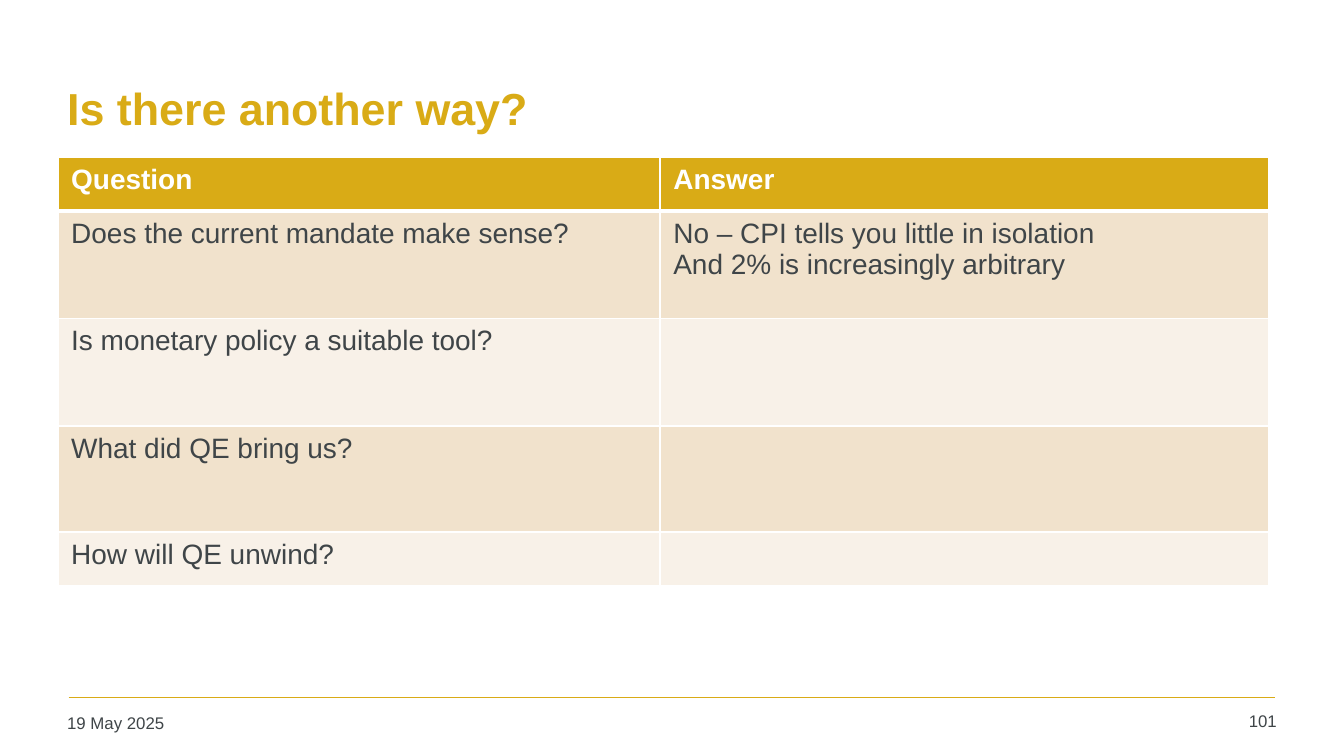
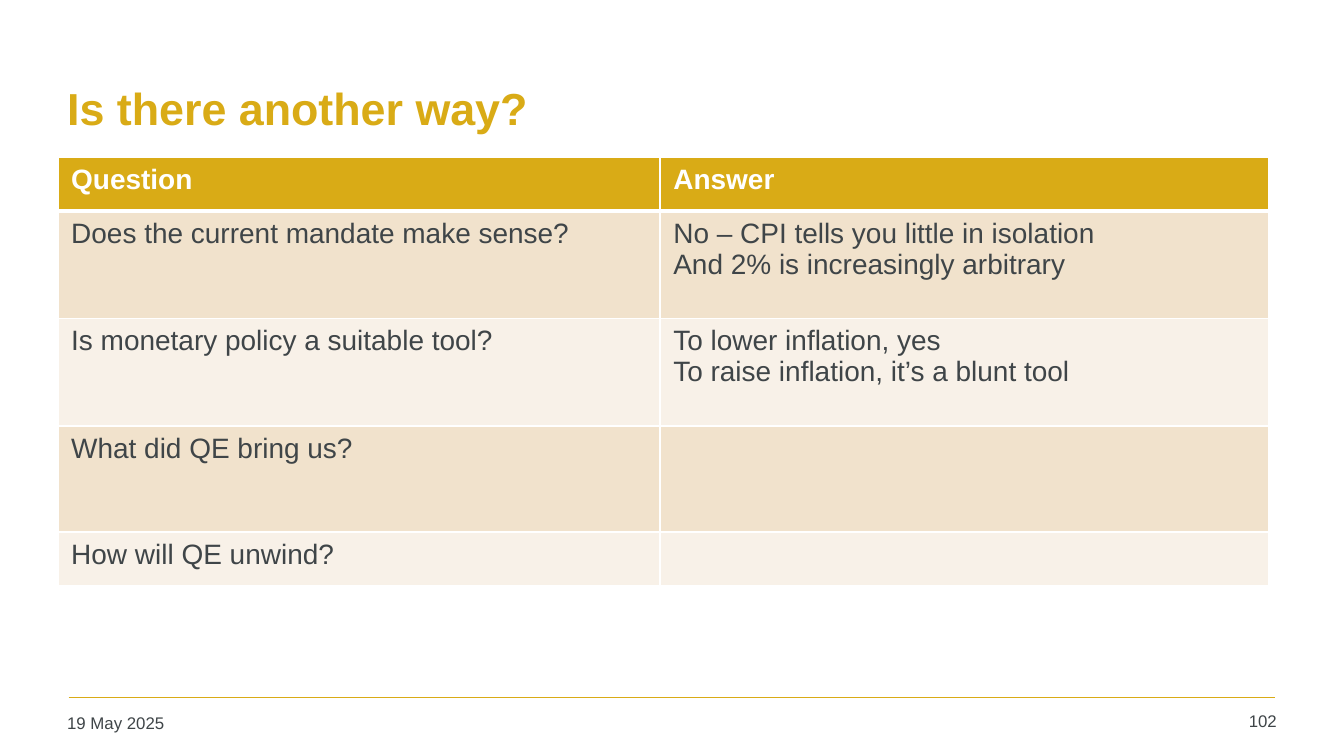
from lxml import etree
from pptx import Presentation
from pptx.dml.color import RGBColor
from pptx.enum.shapes import MSO_CONNECTOR
from pptx.enum.text import MSO_ANCHOR, PP_ALIGN
from pptx.oxml.ns import qn
from pptx.util import Inches, Pt

STRAIGHT = MSO_CONNECTOR.STRAIGHT
TOP, MIDDLE = MSO_ANCHOR.TOP, MSO_ANCHOR.MIDDLE
LEFT, RIGHT = PP_ALIGN.LEFT, PP_ALIGN.RIGHT

GOLD = RGBColor(0xD9, 0xAB, 0x16)
SLATE = RGBColor(0x3F, 0x45, 0x48)
SAND = RGBColor(0xF1, 0xE2, 0xCC)
CREAM = RGBColor(0xF8, 0xF1, 0xE8)
WHITE = RGBColor(0xFF, 0xFF, 0xFF)

TITLE_FONT = {"name": "Arial", "size": Pt(24), "bold": True}
FOOTER_FONT = {"name": "Arial", "size": Pt(9), "bold": False}
HEADER_FONT = {"name": "Arial", "size": Pt(15), "bold": True}
BODY_FONT = {"name": "Arial", "size": Pt(15), "bold": False}
BOX_MARGINS = {
    "margin_left": Inches(0.07), "margin_right": Inches(0.07),
    "margin_top": Inches(0.04), "margin_bottom": Inches(0.04),
}

TITLE = "Is there another way?"
DATE = "19 May 2025"
FIRST_NUMBER = 101
HEADINGS = ("Question", "Answer")
QUESTIONS = (
    "Does the current mandate make sense?",
    "Is monetary policy a suitable tool?",
    "What did QE bring us?",
    "How will QE unwind?",
)
ANSWERS = (
    "No – CPI tells you little in isolation\nAnd 2% is increasingly arbitrary",
    "To lower inflation, yes\nTo raise inflation, it’s a blunt tool",
)
COLUMN_WIDTHS = (4.48, 4.53)
ROW_HEIGHTS = (0.4, 0.8, 0.8, 0.79, 0.4)


def write(frame, text, font, color, align=LEFT):
    """Fill a text frame, one paragraph for each line of text."""
    frame.text = text
    for para in frame.paragraphs:
        para.alignment = align
        for span in para.runs:
            for key, value in font.items():
                setattr(span.font, key, value)
            span.font.color.rgb = color


def add_borders(cell, bottom_width):
    """Give a cell white borders; they must come before its fill."""
    properties = cell._tc.get_or_add_tcPr()
    widths = {"lnL": Pt(1), "lnR": Pt(1), "lnT": Pt(1), "lnB": bottom_width}
    for side, width in widths.items():
        line = etree.SubElement(properties, qn("a:" + side), w=str(width))
        fill = etree.SubElement(line, qn("a:solidFill"))
        etree.SubElement(fill, qn("a:srgbClr"), val=str(WHITE))


deck = Presentation()
deck.slide_width, deck.slide_height = Inches(10), Inches(10 * 9 / 16)

# Each slide reveals one more answer than the slide before.
for index in range(len(ANSWERS)):
    page = deck.slides.add_slide(deck.slide_layouts[6])

    rule = page.shapes.add_connector(
        STRAIGHT, Inches(0.51), Inches(5.19), Inches(9.49), Inches(5.19))
    rule.line.color.rgb = GOLD
    rule.line.width = Pt(1)
    etree.SubElement(rule._element.spPr, qn("a:effectLst"))

    texts = (
        (TITLE, (0.43, 0.33, 9.07, 0.94), TITLE_FONT, GOLD, LEFT, MIDDLE),
        (DATE, (0.43, 5.26, 2.2, 0.27), FOOTER_FONT, SLATE, LEFT, TOP),
        (str(FIRST_NUMBER + index), (8.86, 5.25, 0.71, 0.28),
         FOOTER_FONT, SLATE, RIGHT, TOP),
    )
    for text, place, font, color, align, anchor in texts:
        box = page.shapes.add_textbox(*(Inches(value) for value in place))
        frame = box.text_frame
        frame.word_wrap = True
        frame.vertical_anchor = anchor
        for key, value in BOX_MARGINS.items():
            setattr(frame, key, value)
        write(frame, text, font, color, align)

    table = page.shapes.add_table(
        len(ROW_HEIGHTS), len(COLUMN_WIDTHS), Inches(0.43), Inches(1.17),
        Inches(sum(COLUMN_WIDTHS)), Inches(sum(ROW_HEIGHTS))).table
    for column, width in zip(table.columns, COLUMN_WIDTHS):
        column.width = Inches(width)
    for row, height in zip(table.rows, ROW_HEIGHTS):
        row.height = Inches(height)

    shown = ANSWERS[:index + 1]
    answers = shown + ("",) * (len(QUESTIONS) - len(shown))
    for r, texts_in_row in enumerate((HEADINGS, *zip(QUESTIONS, answers))):
        if r == 0:
            fill, font, color, bottom = GOLD, HEADER_FONT, WHITE, Pt(3)
        else:
            fill = SAND if r % 2 else CREAM
            font, color, bottom = BODY_FONT, SLATE, Pt(1)
        for c, text in enumerate(texts_in_row):
            cell = table.cell(r, c)
            add_borders(cell, bottom)
            cell.fill.solid()
            cell.fill.fore_color.rgb = fill
            if text:
                write(cell.text_frame, text, font, color)

deck.save("out.pptx")
